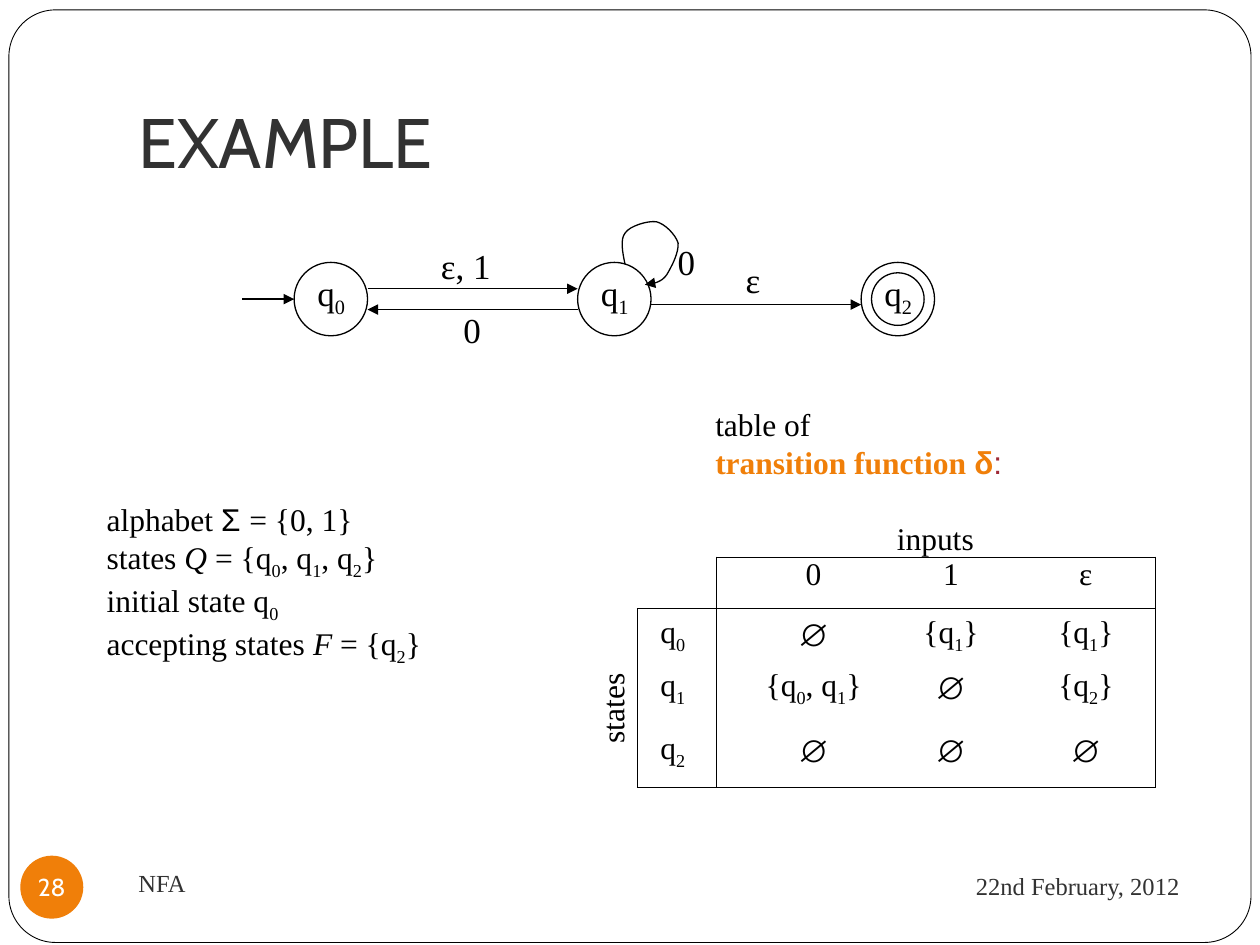
from dataclasses import dataclass
from itertools import pairwise
from typing import Any

import lxml.etree
import pptx
import pptx.dml.color
import pptx.enum.shapes
import pptx.enum.text
import pptx.oxml
import pptx.oxml.ns
import pptx.util

Cm = pptx.util.Cm
Pt = pptx.util.Pt
Align = pptx.enum.text.PP_ALIGN
Anchor = pptx.enum.text.MSO_ANCHOR
Form = pptx.enum.shapes.MSO_SHAPE
qn = pptx.oxml.ns.qn


@dataclass(frozen=True)
class Theme:
    ink: str = "000000"
    grey: str = "323232"
    accent: str = "F07F09"
    red: str = "9F2936"
    paper: str = "FFFFFF"
    serif: str = "Times New Roman"
    sans: str = "Arial"
    head: str = "Cabin"
    title: int = 40
    state: int = 20
    body: int = 18
    foot: int = 14
    thin: float = 0.5
    line: float = 0.75


T = Theme()


@dataclass(frozen=True)
class Bit:
    """A stretch of text; an underscore lowers the character after it."""
    text: str
    font: str = T.serif
    color: str = T.ink
    bold: bool = False
    ital: bool = False


@dataclass(frozen=True)
class Label:
    rows: list[list[Bit]]
    box: tuple[float, float, float, float]
    size: int = T.body
    align: Any = Align.LEFT
    anchor: Any = Anchor.TOP
    wrap: bool = False
    turn: int = 0


@dataclass(frozen=True)
class Arrow:
    start: float
    end: float
    y: float


def rgb(color: str) -> Any:
    return pptx.dml.color.RGBColor.from_string(color)


def write(para: Any, bits: list[Bit], size: int, align: Any) -> None:
    para.alignment = align
    for bit in bits:
        first, *rest = bit.text.split("_")
        parts = [(first, False)]
        for part in rest:
            parts += [(part[0], True), (part[1:], False)]
        for text, low in parts:
            if not text:
                continue
            run = para.add_run()
            run.text = text
            font = run.font
            font.name, font.size = bit.font, Pt(size)
            font.bold, font.italic = bit.bold, bit.ital
            font.color.rgb = rgb(bit.color)
            if low:
                run._r.get_or_add_rPr().set("baseline", "-25000")


def label(slide: Any, item: Label) -> None:
    box = slide.shapes.add_textbox(*map(Cm, item.box))
    box.rotation = item.turn
    frame = box.text_frame
    frame.word_wrap, frame.vertical_anchor = item.wrap, item.anchor
    for n, bits in enumerate(item.rows):
        para = frame.add_paragraph() if n else frame.paragraphs[0]
        write(para, bits, item.size, item.align)


def shape(slide: Any, form: Any, box: tuple[float, ...], fill: str = "",
          line: float = 0) -> Any:
    item = slide.shapes.add_shape(form, *map(Cm, box))
    item.shadow.inherit = False
    if fill:
        item.fill.solid()
        item.fill.fore_color.rgb = rgb(fill)
    else:
        item.fill.background()
    if line:
        item.line.color.rgb = rgb(T.ink)
        item.line.width = Pt(line)
    else:
        item.line.fill.background()
    return item


def tip(item: Any) -> None:
    """Style a line and put an arrowhead at its end."""
    item.line.color.rgb = rgb(T.ink)
    item.line.width = Pt(T.line)
    lxml.etree.SubElement(item.line._get_or_add_ln(), qn("a:tailEnd"), type="triangle")


def arrow(slide: Any, item: Arrow) -> None:
    link = slide.shapes.add_connector(
        pptx.enum.shapes.MSO_CONNECTOR.STRAIGHT,
        Cm(item.start), Cm(item.y), Cm(item.end), Cm(item.y))
    tip(link)
    lxml.etree.SubElement(link._element.spPr, qn("a:effectLst"))


def loop(slide: Any, knots: list[tuple[float, float]], steps: int = 8) -> None:
    """Draw a chain of cubic curves through every third knot."""
    points = []
    for k in range(0, len(knots) - 1, 3):
        for n in range(1, steps + 1):
            t = n / steps
            mix = ((1 - t) ** 3, 3 * t * (1 - t) ** 2, 3 * t * t * (1 - t), t ** 3)
            points.append(tuple(
                Cm(sum(m * p[axis] for m, p in zip(mix, knots[k:k + 4])))
                for axis in (0, 1)))
    pen = slide.shapes.build_freeform(Cm(knots[0][0]), Cm(knots[0][1]))
    pen.add_line_segments(points, close=False)
    item = pen.convert_to_shape()
    item.shadow.inherit = False
    item.fill.background()
    tip(item)


def edge(cell: Any, sides: dict[str, bool]) -> None:
    props = cell._tc.get_or_add_tcPr()
    for side, drawn in sides.items():
        line = lxml.etree.SubElement(props, qn("a:ln" + side), w=str(Pt(T.line)))
        if drawn:
            fill = lxml.etree.SubElement(line, qn("a:solidFill"))
            lxml.etree.SubElement(fill, qn("a:srgbClr"), val=T.ink)
        else:
            lxml.etree.SubElement(line, qn("a:noFill"))


def grid(slide: Any, rows: list[list[str]]) -> None:
    wide, high = (1.6, 3.4, 2.64, 2.8), (1.04, 1.07, 1.07, 1.47)
    table = slide.shapes.add_table(
        len(high), len(wide), Cm(12.85), Cm(11.23), Cm(sum(wide)), Cm(sum(high))).table
    table.first_row = table.horz_banding = False
    for col, width in zip(table.columns, wide):
        col.width = Cm(width)
    for r, row in enumerate(rows):
        table.rows[r].height = Cm(high[r])
        for c, text in enumerate(row):
            cell = table.cell(r, c)
            cell.margin_top = cell.margin_bottom = cell.margin_right = 0
            cell.margin_left = Cm((0.46, 0.5, 0, 0)[c])
            cell.vertical_anchor = Anchor.MIDDLE if r else Anchor.TOP
            edge(cell, {"L": c == 1 or (c == 0 and r > 0), "R": c in (0, 3),
                        "T": r == 1 or (r == 0 and c > 0), "B": r in (0, 3)})
            cell.fill.background()
            font = T.sans if text == "∅" else T.serif
            write(cell.text_frame.paragraphs[0], [Bit(text, font)], T.body,
                  Align.CENTER if c else Align.LEFT)


def main() -> None:
    deck = pptx.Presentation()
    deck.slide_width, deck.slide_height = Cm(25.4), Cm(19.05)
    slide = deck.slides.add_slide(deck.slide_layouts[6])
    border = shape(slide, Form.ROUNDED_RECTANGLE, (0.18, 0.2, 25.04, 18.8), T.paper, T.thin)
    border.adjustments[0] = 0.05

    size, top = 1.48, 5.29
    lefts = [5.93 + 5.715 * n for n in range(3)]
    for n, left in enumerate(lefts):
        shape(slide, Form.OVAL, (left, top, size, size), line=T.line)
        label(slide, Label([[Bit(f"q_{n}")]], (left + 0.22, top + 0.05, 1.09, 1.12), T.state))
    shape(slide, Form.OVAL, (lefts[2] + 0.21, top + 0.21, 1.06, 1.06), line=T.line)
    (a, b), (c, d) = [(x + size, y) for x, y in pairwise(lefts)]
    for item in (Arrow(4.88, lefts[0], 6.03), Arrow(a, b, 5.82),
                 Arrow(b, a, 6.24), Arrow(c, d, 6.14)):
        arrow(slide, item)
    loop(slide, [(12.6, 5.33), (12.55, 5.08), (12.5, 4.83), (12.6, 4.7),
                 (12.7, 4.55), (13.06, 4.45), (13.23, 4.47),
                 (13.41, 4.52), (13.61, 4.72), (13.67, 4.9),
                 (13.69, 5.08), (13.54, 5.38), (13.44, 5.54),
                 (13.34, 5.69), (13.18, 5.72), (13, 5.74)])
    for text, x, y, w in (("ε, 1", 8.64, 4.8, 1.52), ("0", 13.41, 4.72, 0.84),
                          ("0", 9.09, 6.1, 0.84), ("ε", 14.78, 5.08, 0.81)):
        label(slide, Label([[Bit(text)]], (x, y, w, 1.12), T.state))

    grid(slide, [["", "0", "1", "ε"],
                 ["q_0", "∅", "{q_1}", "{q_1}"],
                 ["q_1", "{q_0, q_1}", "∅", "{q_2}"],
                 ["q_2", "∅", "∅", "∅"]])
    facts = [[Bit("alphabet "), Bit("Σ ", T.sans), Bit("= {0, 1}")],
             [Bit("states "), Bit("Q", ital=True), Bit(" = {q_0, q_1, q_2}")],
             [Bit("initial state q_0")],
             [Bit("accepting states "), Bit("F", ital=True), Bit(" = {q_2}")]]
    lead = [[Bit("table of")],
            [Bit("transition function ", color=T.accent, bold=True),
             Bit("δ", T.sans, T.accent, True), Bit(":", T.sans, T.red)]]
    for item in (
            Label([[Bit("EXAMPLE", T.head, T.grey)]], (2.54, 0.76, 21.59, 3.05),
                  T.title, anchor=Anchor.BOTTOM, wrap=True),
            Label(facts, (1.9, 9.96, 9.17, 4.37)),
            Label(lead, (14.17, 8.05, 6.99, 1.8)),
            Label([[Bit("inputs")]], (17.83, 10.34, 2.06, 1.02)),
            Label([[Bit("states")]], (11.35, 13.74, 1.98, 1.02), turn=270),
            Label([[Bit("22nd February, 2012", color=T.grey)]], (17.15, 17.2, 6.88, 1.32),
                  T.foot, Align.RIGHT, Anchor.MIDDLE, True),
            Label([[Bit("NFA", color=T.grey)]], (2.54, 17.15, 11, 1.27),
                  T.foot, anchor=Anchor.MIDDLE, wrap=True)):
        label(slide, item)

    frame = shape(slide, Form.OVAL, (0.41, 17.25, 1.27, 1.27), T.accent).text_frame
    frame.margin_left = frame.margin_right = frame.margin_top = frame.margin_bottom = 0
    frame.word_wrap, frame.vertical_anchor = False, Anchor.MIDDLE
    write(frame.paragraphs[0], [Bit("28", T.head, T.paper)], T.foot, Align.CENTER)
    deck.save("out.pptx")


if __name__ == "__main__":
    main()
